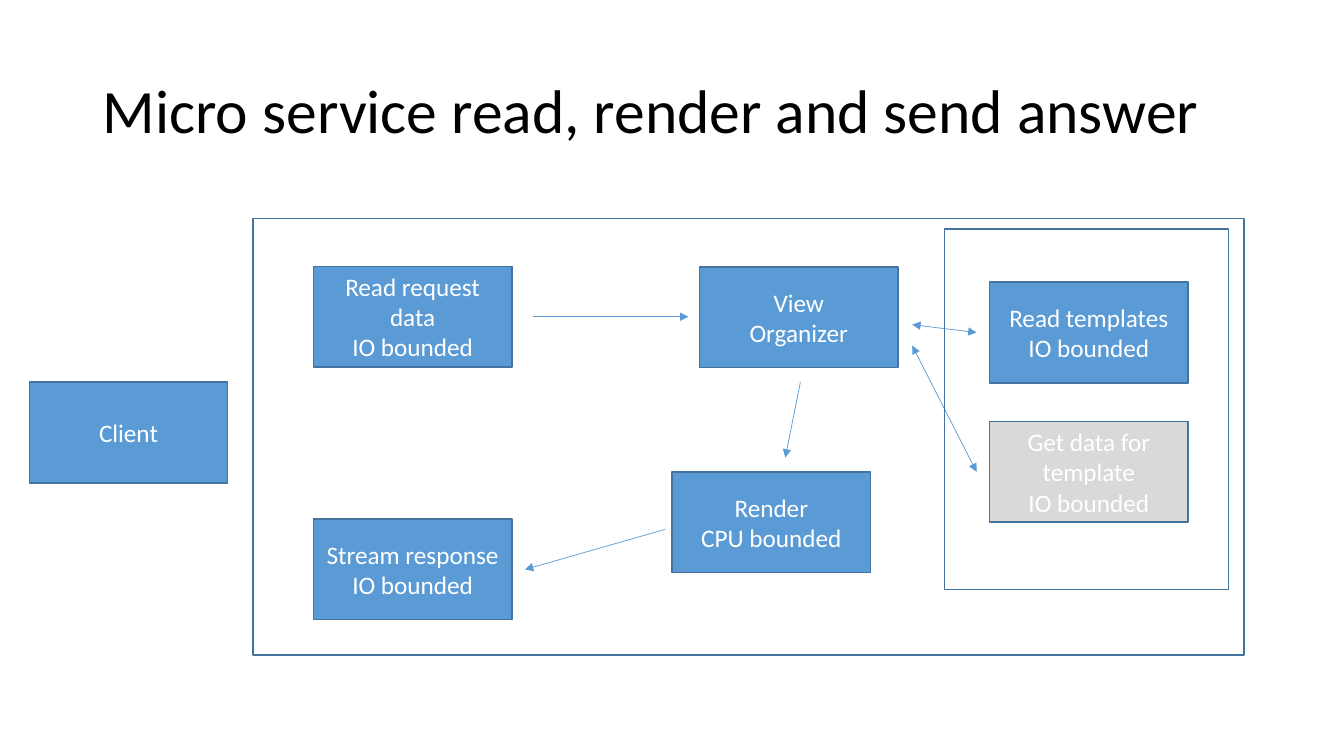
"""Build a slide showing how a micro service reads, renders and sends an answer."""
import pptx
import pptx.dml.color
import pptx.enum.shapes
import pptx.enum.text
import pptx.oxml
import pptx.oxml.ns
import pptx.util

Cm = pptx.util.Cm
Pt = pptx.util.Pt
COLORS = {
    "title": "000000",
    "box": "5B9BD5",
    "inactive": "D9D9D9",
    "outline": "43739E",
    "label": "FFFFFF",
}
BOX_WIDTH, BOX_HEIGHT = 5, 2.54


def color(name):
    return pptx.dml.color.RGBColor.from_string(COLORS[name])


def add_rectangle(left, top, width, height, fill=None):
    rectangle = page.shapes.add_shape(
        pptx.enum.shapes.MSO_SHAPE.RECTANGLE, Cm(left), Cm(top), Cm(width), Cm(height))
    rectangle.shadow.inherit = False
    if fill:
        rectangle.fill.solid()
        rectangle.fill.fore_color.rgb = color(fill)
    else:
        rectangle.fill.background()
    rectangle.line.color.rgb = color("outline")
    rectangle.line.width = Pt(1)
    return rectangle


deck = pptx.Presentation()
deck.slide_width, deck.slide_height = Cm(33.87), Cm(19.05)
page = deck.slides.add_slide(deck.slide_layouts[6])

title = page.shapes.add_textbox(Cm(2.34), Cm(1.02), Cm(29.21), Cm(3.68))
title.text_frame.word_wrap = True
title.text_frame.vertical_anchor = pptx.enum.text.MSO_ANCHOR.MIDDLE
title.text_frame.text = "Micro service read, render and send answer"
heading = title.text_frame.paragraphs[0]
heading.line_spacing = 0.9
heading.runs[0].font.size = Pt(44)
heading.runs[0].font.name = "Calibri"
heading.runs[0].font.color.rgb = color("title")

boxes = [
    ("Read request data\nIO bounded", 7.9, 6.71, "box"),
    ("Read templates\nIO bounded", 24.94, 7.11, "box"),
    ("Get data for template\nIO bounded", 24.94, 10.62, "inactive"),
    ("Render\nCPU bounded", 16.94, 11.89, "box"),
    ("Stream response\nIO bounded", 7.9, 13.08, "box"),
    ("View\nOrganizer", 17.63, 6.73, "box"),
    ("Client", 0.74, 9.63, "box"),
]
for label, left, top, fill in boxes:
    box = add_rectangle(left, top, BOX_WIDTH, BOX_HEIGHT, fill)
    box.text_frame.word_wrap = True
    box.text_frame.vertical_anchor = pptx.enum.text.MSO_ANCHOR.MIDDLE
    box.text_frame.text = label
    for para in box.text_frame.paragraphs:
        para.alignment = pptx.enum.text.PP_ALIGN.CENTER
        for span in para.runs:
            span.font.size = Pt(18)
            span.font.name = "Calibri"
            span.font.color.rgb = color("label")

arrows = [
    (13.44, 7.98, 17.35, 7.98, ["tailEnd"]),
    (16.76, 13.34, 13.23, 14.35, ["tailEnd"]),
    (22.99, 8.18, 24.61, 8.38, ["headEnd", "tailEnd"]),
    (22.99, 8.71, 24.61, 11.89, ["headEnd", "tailEnd"]),
    (20.17, 9.63, 19.79, 11.53, ["tailEnd"]),
]
for start_x, start_y, end_x, end_y, ends in arrows:
    arrow = page.shapes.add_connector(
        pptx.enum.shapes.MSO_CONNECTOR.STRAIGHT,
        Cm(start_x), Cm(start_y), Cm(end_x), Cm(end_y))
    arrow.line.color.rgb = color("box")
    arrow.line.width = Pt(0.5)
    outline = arrow.line._get_or_add_ln()
    for end in ends:
        arrowhead = pptx.oxml.parse_xml(
            f'<a:{end} {pptx.oxml.ns.nsdecls("a")} type="triangle"/>')
        outline.append(arrowhead)
    arrow._element.spPr.append(
        pptx.oxml.parse_xml(f'<a:effectLst {pptx.oxml.ns.nsdecls("a")}/>'))

add_rectangle(23.8, 5.77, 7.16, 9.09)
add_rectangle(6.38, 5.51, 24.97, 11)

deck.save("out.pptx")
